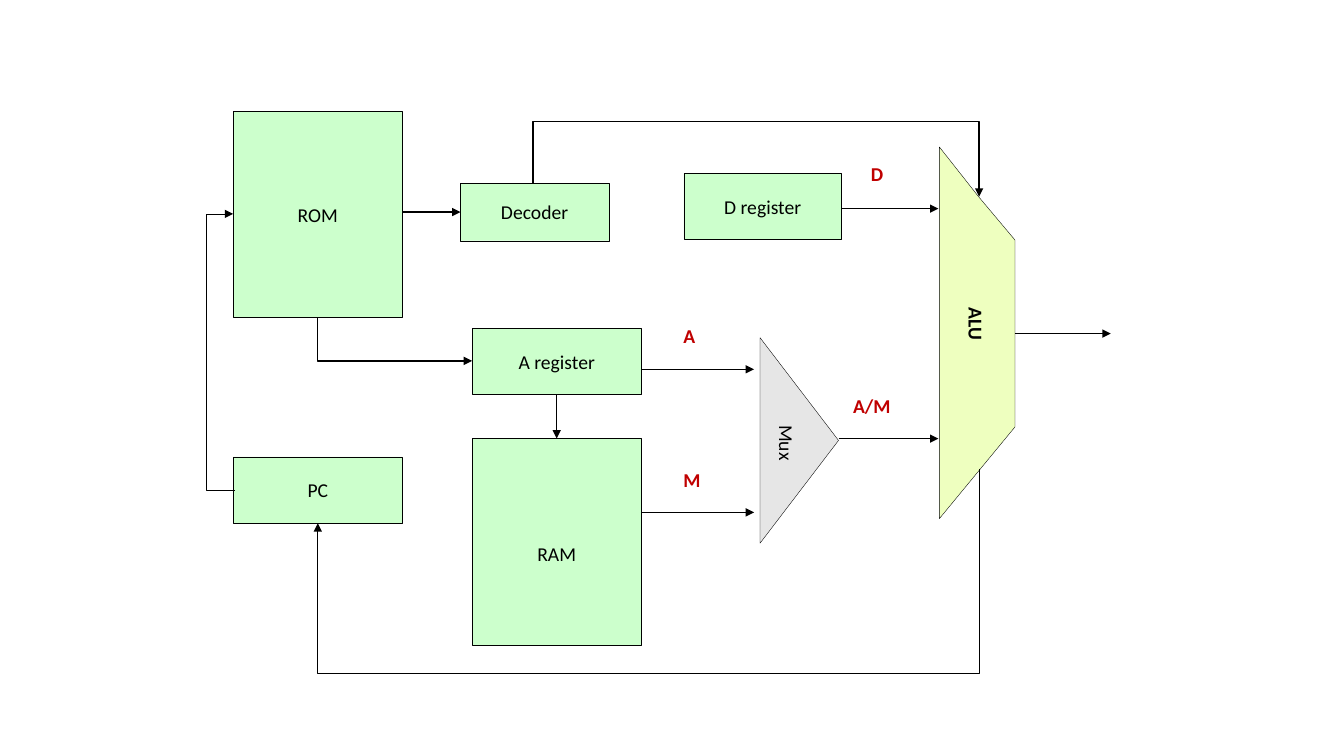
import pptx
import pptx.util
import pptx.dml.color
import pptx.enum.shapes
import pptx.enum.text
import pptx.oxml.ns
from lxml import etree

Pt = pptx.util.Pt
RGBColor = pptx.dml.color.RGBColor

BLACK = RGBColor(0x00, 0x00, 0x00)
RED = RGBColor(0xC0, 0x00, 0x00)
GREEN = RGBColor(0xCC, 0xFF, 0xCC)
YELLOW = RGBColor(0xEE, 0xFF, 0xBF)
GRAY = RGBColor(0xE6, 0xE6, 0xE6)
TOP, LEFT, BOTTOM = 0, 1, 2
HAIRLINE, THIN, THICK = 0.25, 0.5, 1


class Diagram:
    font = "Calibri"
    size = 14

    def __init__(self, slide):
        self.shapes = slide.shapes

    def add_text(self, frame, text, color=BLACK, bold=False, centered=True):
        para = frame.paragraphs[0]
        align = pptx.enum.text.PP_ALIGN
        para.alignment = align.CENTER if centered else align.LEFT
        span = para.add_run()
        span.text = text
        span.font.name = self.font
        span.font.size = Pt(self.size)
        span.font.bold = bold
        span.font.color.rgb = color

    def outline(self, shape, width):
        shape.line.color.rgb = BLACK
        shape.line.width = Pt(width)

    def arrowhead(self, shape):
        line = shape._element.spPr.find(pptx.oxml.ns.qn("a:ln"))
        etree.SubElement(line, pptx.oxml.ns.qn("a:tailEnd"), type="triangle")

    def block(self, text, left, top, width, height, text_drop=0):
        """Add a green unit; text_drop lowers its centred name."""
        box = self.shapes.add_shape(pptx.enum.shapes.MSO_SHAPE.RECTANGLE,
                                    Pt(left), Pt(top), Pt(width), Pt(height))
        box.shadow.inherit = False
        box.fill.solid()
        box.fill.fore_color.rgb = GREEN
        self.outline(box, HAIRLINE)
        frame = box.text_frame
        frame.vertical_anchor = pptx.enum.text.MSO_ANCHOR.MIDDLE
        frame.margin_top = Pt(3.6 + 2 * text_drop)
        self.add_text(frame, text)
        return box

    def label(self, text, left, top, width, height, rotation=0, **style):
        box = self.shapes.add_textbox(Pt(left), Pt(top), Pt(width), Pt(height))
        box.rotation = rotation
        frame = box.text_frame
        frame.margin_left = frame.margin_right = 0
        frame.margin_top = frame.margin_bottom = 0
        frame.word_wrap = False
        self.add_text(frame, text, **style)

    def trace(self, points, closed):
        corners = [(Pt(x), Pt(y)) for x, y in points]
        builder = self.shapes.build_freeform(*corners[0])
        builder.add_line_segments(corners[1:], close=closed)
        shape = builder.convert_to_shape()
        shape.shadow.inherit = False
        return shape

    def polygon(self, points, color):
        shape = self.trace(points, closed=True)
        shape.fill.solid()
        shape.fill.fore_color.rgb = color
        self.outline(shape, HAIRLINE)

    def route(self, points, width):
        """Add an arrow that turns at right angles through the points."""
        shape = self.trace(points, closed=False)
        shape.fill.background()
        self.outline(shape, width)
        self.arrowhead(shape)

    def arrow(self, start, end, width=HAIRLINE):
        wire = self.shapes.add_connector(
            pptx.enum.shapes.MSO_CONNECTOR.STRAIGHT,
            Pt(start[0]), Pt(start[1]), Pt(end[0]), Pt(end[1]))
        self.outline(wire, width)
        self.arrowhead(wire)
        etree.SubElement(wire._element.spPr, pptx.oxml.ns.qn("a:effectLst"))
        return wire


def main():
    deck = pptx.Presentation()
    deck.slide_width, deck.slide_height = Pt(960), Pt(540)
    page = deck.slides.add_slide(deck.slide_layouts[6])
    diagram = Diagram(page)

    # Functional units
    diagram.polygon([(725, 305), (725, 171.5), (699, 140.5), (671, 105),
                     (671, 370.5)], YELLOW)
    diagram.label("ALU", 678.2, 228.2, 36, 19.4, rotation=90, bold=True,
                  centered=False)
    diagram.polygon([(542.9, 388), (599, 314.6), (542.9, 241.2)], GRAY)
    diagram.label("Mux", 546.5, 306.7, 28.8, 19.4, rotation=90)

    # Memories and registers
    diagram.block("ROM", 166.5, 79.3, 121, 147.6)
    diagram.block("PC", 166.5, 326.4, 121, 47.4)
    diagram.block("D register", 488.5, 123.8, 112.7, 47.2)
    a_register = diagram.block("A register", 337.2, 234.4, 121, 47.4)
    ram = diagram.block("RAM", 337.2, 313.2, 121, 147.6, text_drop=8.5)

    # Control paths
    diagram.route([(227, 226.9), (227, 257.8), (337.2, 257.8)], THICK)
    diagram.route([(699.6, 334.8), (699.6, 481), (227, 481), (227, 373.8)],
                  THIN)
    diagram.route([(167.8, 350.1), (147.2, 350.1), (147.2, 152.8),
                   (166.5, 152.8)], THIN)
    diagram.route([(380.6, 131), (380.6, 86.8), (699.4, 86.8),
                   (699.4, 140.5)], THICK)
    decoder = diagram.block("Decoder", 328.9, 131, 106, 41)
    diagram.arrow((287.5, 151.5), (328.9, 151.5), THICK).end_connect(
        decoder, LEFT)
    address = diagram.arrow((397.7, 281.8), (397.7, 313.2), THIN)
    address.begin_connect(a_register, BOTTOM)
    address.end_connect(ram, TOP)

    # Data paths
    for left, right, y in [(601.2, 670.3, 149), (458.2, 538.6, 263.8),
                           (458.2, 538.6, 366), (599, 670.3, 313.3),
                           (725, 793.4, 238.3)]:
        diagram.arrow((left, y), (right, y))
    for text, left, top, width in [("D", 622, 115.4, 11.5),
                                   ("A", 488.2, 231.3, 10.8),
                                   ("A/M", 609.3, 281.7, 27.4),
                                   ("M", 488.2, 334.3, 12.2)]:
        diagram.label(text, left, top, width, 17.3, color=RED, bold=True,
                      centered=False)

    deck.save("out.pptx")


if __name__ == "__main__":
    main()
